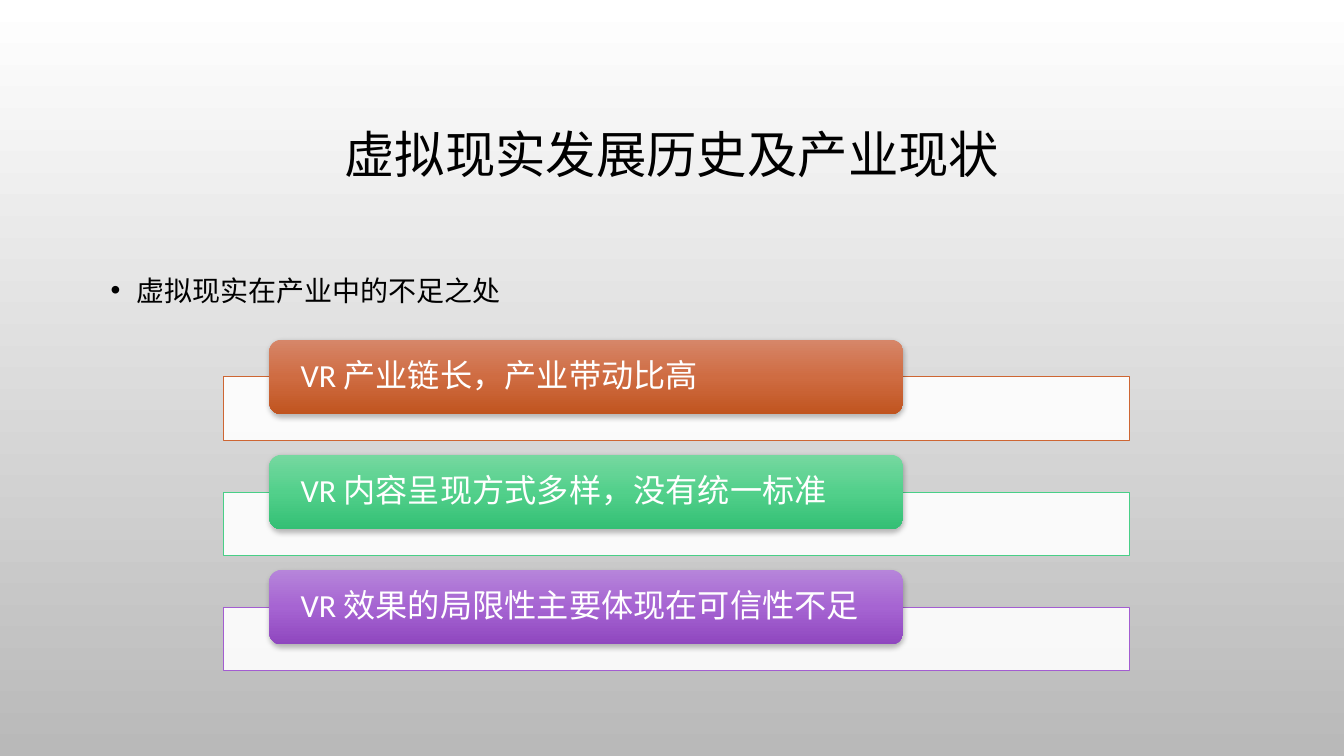
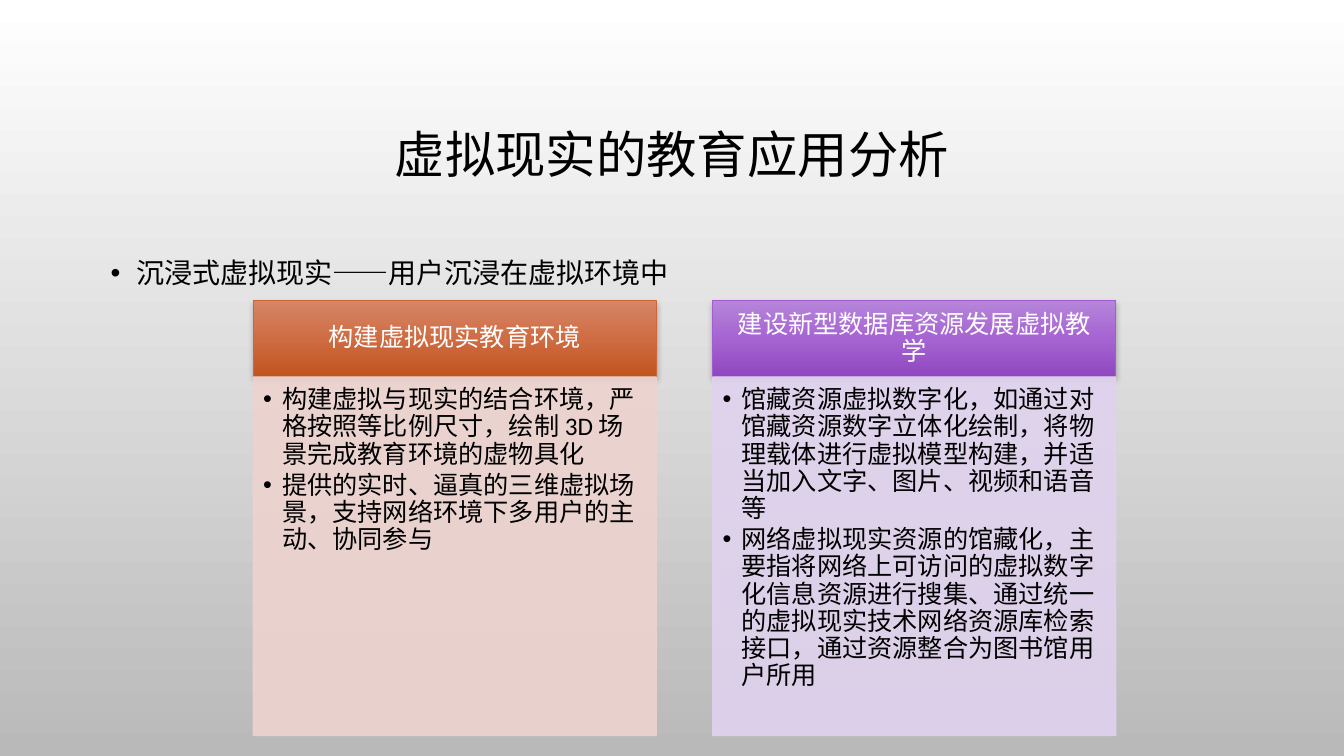
from copy import deepcopy

from lxml import etree
from pptx import Presentation
from pptx.dml.color import RGBColor
from pptx.enum.shapes import MSO_SHAPE
from pptx.enum.text import MSO_ANCHOR, MSO_AUTO_SIZE, PP_ALIGN
from pptx.oxml.ns import qn
from pptx.util import Cm, Pt

RECT, ROUND = MSO_SHAPE.RECTANGLE, MSO_SHAPE.ROUNDED_RECTANGLE
TOP, MIDDLE = MSO_ANCHOR.TOP, MSO_ANCHOR.MIDDLE
LEFT, CENTER = PP_ALIGN.LEFT, PP_ALIGN.CENTER
NO_FIT = MSO_AUTO_SIZE.NONE

FONT = "Calibri"
BLACK, WHITE = "000000", "FFFFFF"
BACKDROP = [WHITE, "B9B9B9"]
ORANGE = {"line": "CE6633", "grad": ["D68669", "CF6C42", "C0541F"], "tint": "EDD3CE"}
GREEN = {"line": "48CF87", "grad": ["76D8A0", "52D08B", "33BF74"]}
PURPLE = {"line": "A35DD1", "grad": ["B685DA", "A664D2", "8F47BF"], "tint": "E0D2EE"}

TITLE = {"size": 36, "color": BLACK, "para": {"alignment": CENTER, "line_spacing": 0.9}}
TOPIC = {"size": 20, "color": BLACK, "indent": 0.64,
         "para": {"alignment": LEFT, "line_spacing": 1.2, "space_before": Pt(10)}}
BAR = {"size": 23, "color": WHITE, "para": {"alignment": LEFT, "line_spacing": 0.9}}
HEAD = {"size": 18, "color": WHITE, "para": {"alignment": CENTER, "line_spacing": 0.9}}
POINT = {"size": 18, "color": BLACK, "indent": 0.48,
         "para": {"alignment": LEFT, "line_spacing": 0.9, "space_after": Pt(2.7)}}


def rgb(value):
    return RGBColor.from_string(value)


def set_gradient(owner, fill, colors):
    fill.gradient()
    fill.gradient_angle = 270
    stop_list = next(owner._element.iter(qn("a:gsLst")))
    for _ in colors[2:]:
        stop_list.append(deepcopy(stop_list[0]))
    for i, (stop, color) in enumerate(zip(fill.gradient_stops, colors)):
        stop.position = i / (len(colors) - 1)
        stop.color.rgb = rgb(color)


def add_shadow(sp):
    effects = sp._element.spPr.find(qn("a:effectLst"))
    shadow = etree.SubElement(effects, qn("a:outerShdw"), blurRad=str(Pt(4)),
                              dist=str(Pt(2)), dir="5400000", rotWithShape="0")
    color = etree.SubElement(shadow, qn("a:srgbClr"), val=BLACK)
    etree.SubElement(color, qn("a:alpha"), val="28000")


def make_translucent(sp):
    for color in sp._element.spPr.iter(qn("a:srgbClr")):
        etree.SubElement(color, qn("a:alpha"), val="90000")


def set_line(sp, color):
    sp.line.color.rgb = rgb(color)
    sp.line.width = Pt(0.75)


def set_bullet(p, indent):
    pPr = p._p.get_or_add_pPr()
    pPr.set("marL", str(Cm(indent)))
    pPr.set("indent", str(-Cm(indent)))
    etree.SubElement(pPr, qn("a:buFont"), typeface="Arial")
    etree.SubElement(pPr, qn("a:buChar"), char="•")


def write(sp, texts, style, anchor=TOP, margins=(0.25, 0.13, 0.25, 0.13)):
    tf = sp.text_frame
    frame = {"word_wrap": True, "auto_size": NO_FIT, "vertical_anchor": anchor}
    sides = ("margin_left", "margin_top", "margin_right", "margin_bottom")
    frame.update(zip(sides, map(Cm, margins)))
    for name, value in frame.items():
        setattr(tf, name, value)
    for i, text in enumerate(texts):
        p = tf.add_paragraph() if i else tf.paragraphs[0]
        for name, value in style["para"].items():
            setattr(p, name, value)
        if "indent" in style:
            set_bullet(p, style["indent"])
        r = p.add_run()
        r.text = text
        for name, value in {"name": FONT, "size": Pt(style["size"])}.items():
            setattr(r.font, name, value)
        r.font.color.rgb = rgb(style["color"])


def place(sp, box):
    for name, value in zip(("left", "top", "width", "height"), box):
        setattr(sp, name, Cm(value))


def add_box(s, kind, box):
    sp = s.shapes.add_shape(kind, *map(Cm, box))
    sp.shadow.inherit = False
    sp.line.fill.background()
    return sp


def add_glossy(s, kind, box, colors):
    sp = add_box(s, kind, box)
    set_gradient(sp, sp.fill, colors)
    add_shadow(sp)
    return sp


def add_panel(s, box, color):
    sp = add_box(s, RECT, box)
    sp.fill.solid()
    sp.fill.fore_color.rgb = rgb(color)
    return sp


def add_topic_slide(prs, title, topic, topic_box):
    s = prs.slides.add_slide(prs.slide_layouts[1])
    heading, body = s.placeholders
    place(heading, (2.54, 1.73, 28.78, 4.45))
    write(heading, [title], TITLE, MIDDLE)
    place(body, topic_box)
    write(body, [topic], TOPIC)
    return s


def add_bar_list(s, box, items, gap=0.36):
    x, y, w, h = box
    row = (h - gap * (len(items) - 1)) / len(items)
    bar_h, panel_top = row * 0.74, row * 0.37
    for i, (text, palette) in enumerate(items):
        top = y + i * (row + gap)
        panel = add_panel(s, (x, top + panel_top, w, row - panel_top), WHITE)
        make_translucent(panel)
        set_line(panel, palette["line"])
        bar = add_glossy(s, ROUND, (x + w * 0.05, top, w * 0.7, bar_h), palette["grad"])
        write(bar, [text], BAR, MIDDLE, (0.7, 0, 0.7, 0))


def add_columns(s, box, columns, gap=1.42, head_h=1.93):
    x, y, w, h = box
    col_w = (w - gap * (len(columns) - 1)) / len(columns)
    for i, (title, points, palette) in enumerate(columns):
        left = x + i * (col_w + gap)
        head = add_glossy(s, RECT, (left, y, col_w, head_h), palette["grad"])
        set_line(head, palette["line"])
        write(head, [title], HEAD, MIDDLE, (0.36, 0.2, 0.36, 0.2))
        panel = add_panel(s, (left, y + head_h, col_w, h - head_h), palette["tint"])
        set_line(panel, palette["tint"])
        make_translucent(panel)
        write(panel, points, POINT, TOP, (0.25, 0.25, 0.36, 0.4))


def main():
    prs = Presentation()
    prs.slide_width, prs.slide_height = Cm(33.87), Cm(19.05)
    master = prs.slide_master
    set_gradient(master, master.background.fill, BACKDROP)

    s = add_topic_slide(prs, "虚拟现实发展历史及产业现状", "虚拟现实在产业中的不足之处",
                        (2.54, 6.58, 13.54, 1.47))
    add_bar_list(s, (5.64, 8.56, 22.83, 8.34), [
        ("VR 产业链长，产业带动比高", ORANGE),
        ("VR 内容呈现方式多样，没有统一标准", GREEN),
        ("VR 效果的局限性主要体现在可信性不足", PURPLE),
    ])

    s = add_topic_slide(prs, "虚拟现实的教育应用分析", "沉浸式虚拟现实——用户沉浸在虚拟环境中",
                        (2.54, 6.15, 14.71, 1.35))
    add_columns(s, (6.38, 7.57, 21.74, 10.97), [
        ("构建虚拟现实教育环境", [
            "构建虚拟与现实的结合环境，严格按照等比例尺寸，绘制 3D 场景完成教育环境的虚物具化",
            "提供的实时、逼真的三维虚拟场景，支持网络环境下多用户的主动、协同参与",
        ], ORANGE),
        ("建设新型数据库资源发展虚拟教学", [
            "馆藏资源虚拟数字化，如通过对馆藏资源数字立体化绘制，将物理载体进行虚拟模型构建，"
            "并适当加入文字、图片、视频和语音等",
            "网络虚拟现实资源的馆藏化，主要指将网络上可访问的虚拟数字化信息资源进行搜集、"
            "通过统一的虚拟现实技术网络资源库检索接口，通过资源整合为图书馆用户所用",
        ], PURPLE),
    ])
    prs.save("out.pptx")


if __name__ == "__main__":
    main()
